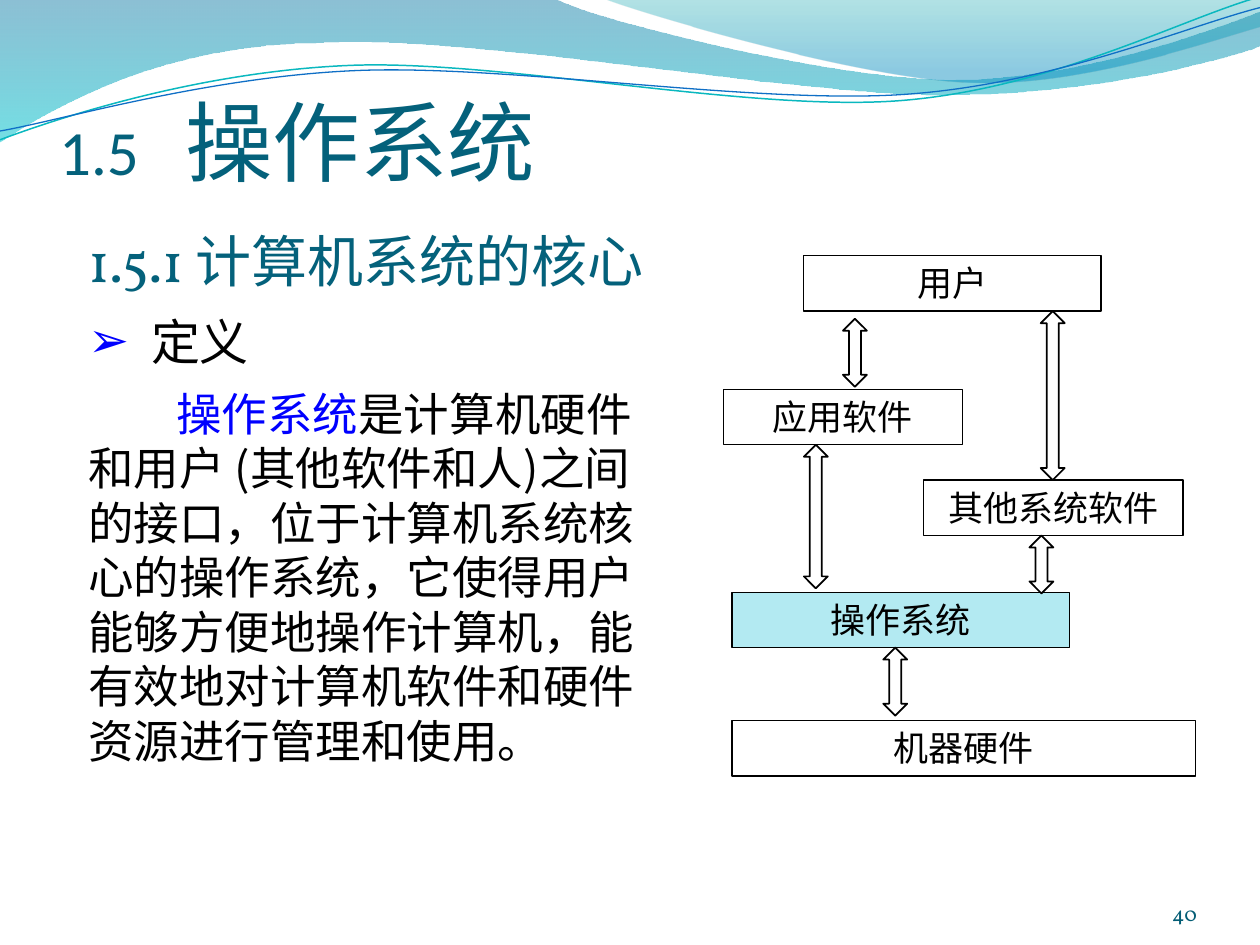
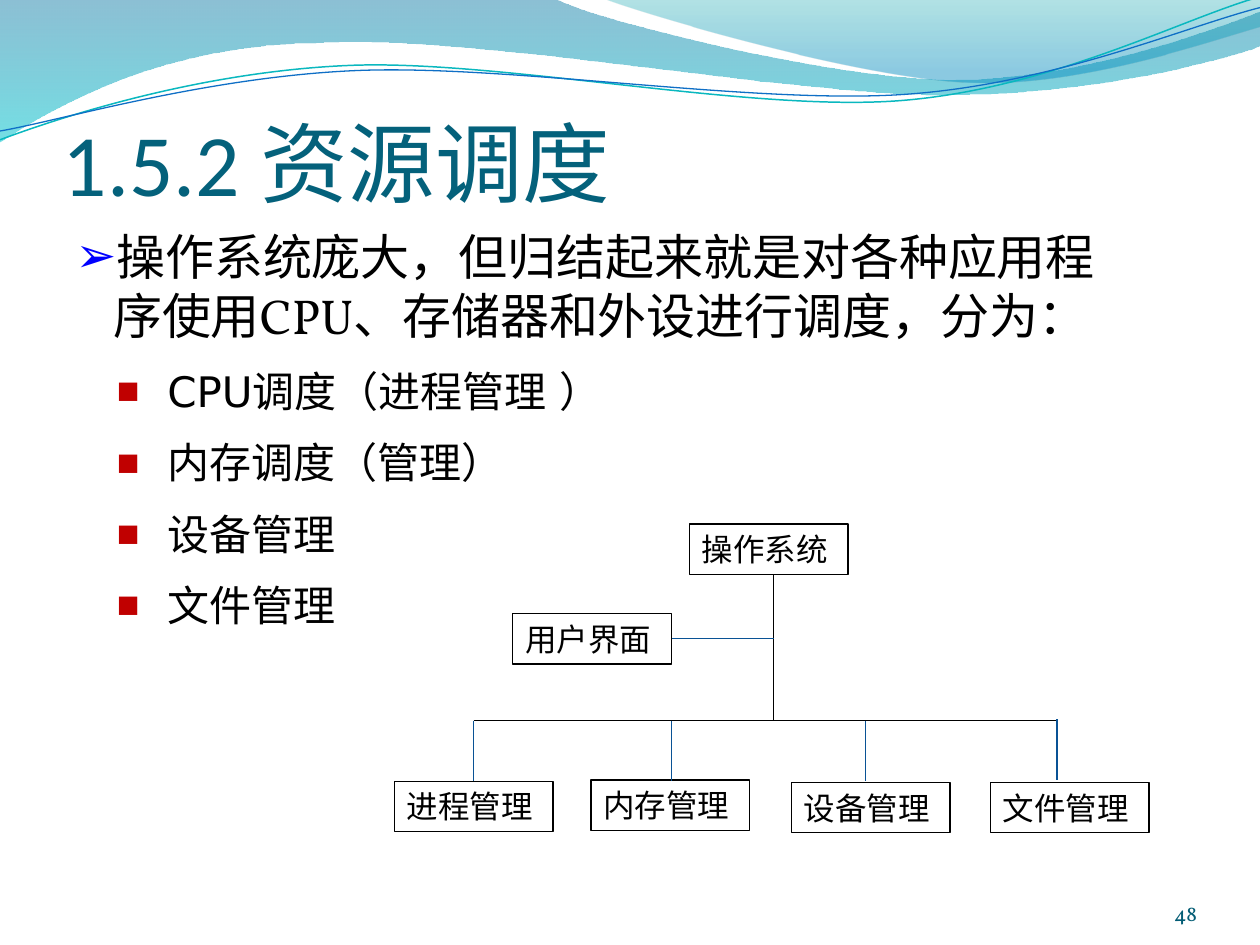
"""Build two slides about operating systems: their place in a computer and their parts."""
from math import cos, radians, sin
from lxml.etree import SubElement
from pptx import Presentation
from pptx.dml.color import RGBColor
from pptx.enum.shapes import MSO_CONNECTOR, MSO_SHAPE
from pptx.enum.text import MSO_ANCHOR, PP_ALIGN
from pptx.oxml.ns import qn
from pptx.util import Inches, Pt

WIDTH, HEIGHT = 10, 7.5
TEAL = RGBColor(0x04, 0x61, 0x7B)
NUMBER_TEAL = RGBColor(0x04, 0x5D, 0x75)
BLUE = RGBColor(0x00, 0x00, 0xFF)
RED = RGBColor(0xC0, 0x00, 0x00)
BLACK = RGBColor(0x00, 0x00, 0x00)
PALE_CYAN = RGBColor(0xB3, 0xEA, 0xF2)
NAVY = RGBColor(0x09, 0x52, 0x95)
WAVE_CYAN = RGBColor(0x0A, 0xB8, 0xBF)
WAVE_BLUE = RGBColor(0x0F, 0x6F, 0xC6)
BAND_BLUE = RGBColor(0x00, 0x74, 0xA1)
BAND_CYAN = RGBColor(0x00, 0xC6, 0xCF)
CORNER_TEAL = RGBColor(0x00, 0xA1, 0xA9)
CORNER_BLUE = RGBColor(0x00, 0x8B, 0xBF)
BODY_FONT, TITLE_FONT = "Vollkorn", "Calibri"
SANS_FONT, CHINESE_FONT = "DejaVu Sans", "Noto Sans CJK SC"

BANDS = [
    {"box": (-0.01, -0.01, 10.02, 1.14), "start": (0, -0.01),
     "steps": [(4.4, -0.01), (4.76, 0.17, 6.64, 0.63, 7.58, 0.63),
               (8.53, 0.63, 9.58, 0.26, 10, 0.09), (10.01, 0.36),
               (9.83, 0.44, 8.7, 0.76, 7.46, 0.75),
               (6.22, 0.75, 3.82, 0.28, 2.57, 0.34),
               (1.29, 0.35, 0.46, 0.83, -0.01, 1.13), (0, -0.01)],
     "stops": [(0, BAND_BLUE, 45), (100, BAND_CYAN, 55)]},
    {"box": (4.79, -0.01, 5.21, 0.7), "start": (4.79, -0.01),
     "steps": [(5.09, 0.11, 6.82, 0.62, 7.69, 0.65),
               (8.56, 0.69, 9.61, 0.32, 10, 0.21), (10, 0), (4.79, -0.01)],
     "stops": [(0, CORNER_TEAL, 30), (80, CORNER_BLUE, 45)]},
]
WAVE_TILT = -2.7
WAVES = [
    {"box": (-0.02, 0.22, 10.02, 0.71), "start": (0, 1.11), "line": (WAVE_CYAN, 0.85),
     "steps": [(0.48, 0.93, 1.58, 0.57, 2.77, 0.52),
               (3.95, 0.47, 5.93, 0.89, 7.13, 0.8),
               (8.33, 0.71, 9.38, 0.15, 9.98, -0.02)]},
    {"box": (-0.02, 0.3, 10.03, 0.58), "start": (0, 1.04), "line": (WAVE_BLUE, 0.75),
     "steps": [(0.47, 0.96, 1.64, 0.61, 2.83, 0.56),
               (4.03, 0.51, 5.97, 0.83, 7.17, 0.75),
               (8.36, 0.67, 9.41, 0.21, 10, 0.06)]},
]

ARROW_BULLET = {"char": "➢", "color": BLUE, "percent": 100}
SQUARE_BULLET = {"char": "■", "color": RED, "percent": 57}
TASK = {"margin": 0.73, "indent": -0.4, "before": 12, "bullet": SQUARE_BULLET}
TASKS = ["CPU调度（进程管理 ）", "内存调度（管理）", "设备管理", "文件管理"]

CORE = {
    "title": [("1.5\t", 36, TITLE_FONT, TEAL), ("操作系统", 50, TITLE_FONT, TEAL)],
    "title_box": (0.47, 0.6, 9, 0.93),
    "number": "40",
    "body_box": (0.5, 1.75, 4.81, 4.95),
    "body": [
        ({"margin": 0.1}, [("1.5.1 计算机系统的核心", 32, BODY_FONT, TEAL)]),
        ({"margin": 0.6, "indent": -0.5, "before": 10, "bullet": ARROW_BULLET},
         [("定义", 28, BODY_FONT, BLACK)]),
        ({"margin": 0.1, "indent": 0.7, "before": 8.8},
         [("操作系统", 26, CHINESE_FONT, BLUE),
          ("是计算机硬件和用户 (其他软件和人)之间的接口，位于计算机系统核心的操作系统，"
           "它使得用户能够方便地操作计算机，能有效地对计算机软件和硬件资源进行管理和使用。",
           26, CHINESE_FONT, BLACK)]),
    ],
}
LAYER_HEIGHT, ARROW_WIDTH = 0.44, 0.19
LAYERS = [("机器硬件", 5.81, 5.72, 3.68, None), ("其他系统软件", 7.33, 3.81, 2.06, None),
          ("应用软件", 5.74, 3.09, 1.9, None), ("操作系统", 5.81, 4.7, 2.68, PALE_CYAN),
          ("用户", 6.38, 2.03, 2.36, None)]
ARROWS = [(6.38, 3.53, 1.14), (6.69, 2.53, 0.54), (8.17, 4.25, 0.46),
          (7.01, 5.14, 0.54), (8.26, 2.47, 1.34)]

SCHEDULING = {
    "title": [("1.5.2 资源调度", 50, TITLE_FONT, TEAL)],
    "title_box": (0.5, 0.77, 9, 0.93),
    "number": "48",
    "body_box": (0.5, 1.75, 8.33, 3.57),
    "body": [
        ({"margin": 0.3, "indent": -0.3, "bullet": ARROW_BULLET},
         [("操作系统庞大，但归结起来就是对各种应用程序使用CPU、存储器和外设进行调度，分为：",
           28, BODY_FONT, BLACK)]),
        *[(TASK, [(task, 24, SANS_FONT, BLACK)]) for task in TASKS],
    ],
}
NODE_WIDTH, NODE_HEIGHT = 1.26, 0.4
ROOT = ("操作系统", 5.47, 4.16)
INTERFACE = ("用户界面", 4.07, 4.87)
MANAGERS = [("进程管理", 3.13, 6.2), ("设备管理", 6.28, 6.21),
            ("内存管理", 4.69, 6.19), ("文件管理", 7.86, 6.21)]
TRUNK_X, RAIL_Y = 6.14, 5.72
DROPS = [(3.76, 5.72), (5.33, 5.72), (6.87, 5.72), (8.39, 5.71)]
DROP_LENGTH = 0.48


def set_values(target, values):
    for name, value in values.items():
        setattr(target, name, value)


def add_bullet(paragraph, bullet):
    properties = paragraph._p.get_or_add_pPr()
    color = SubElement(properties, qn("a:buClr"))
    SubElement(color, qn("a:srgbClr"), val=str(bullet["color"]))
    SubElement(properties, qn("a:buSzPct"), val=str(bullet["percent"] * 1000))
    SubElement(properties, qn("a:buFont"), typeface=SANS_FONT)
    SubElement(properties, qn("a:buChar"), char=bullet["char"])


def write_paragraph(paragraph, runs, layout):
    properties = paragraph._p.get_or_add_pPr()
    properties.set("marL", str(Inches(layout.get("margin", 0))))
    properties.set("indent", str(Inches(layout.get("indent", 0))))
    if "bullet" in layout:
        add_bullet(paragraph, layout["bullet"])
    if "tab" in layout:
        tabs = SubElement(properties, qn("a:tabLst"))
        SubElement(tabs, qn("a:tab"), pos=str(Inches(layout["tab"])), algn="l")
    set_values(paragraph, {"alignment": layout.get("align", PP_ALIGN.LEFT),
                           "space_before": Pt(layout.get("before", 0))})
    for text, size, font, color in runs:
        run = paragraph.add_run()
        run.text = text
        set_values(run.font, {"size": Pt(size), "name": font})
        run.font.color.rgb = color
        SubElement(run._r.get_or_add_rPr(), qn("a:ea"), typeface=font)


def write_text(shape, paragraphs, **frame_values):
    frame = shape.text_frame
    set_values(frame, {"word_wrap": True, "vertical_anchor": MSO_ANCHOR.TOP, **frame_values})
    for index, (layout, runs) in enumerate(paragraphs):
        paragraph = frame.add_paragraph() if index else frame.paragraphs[0]
        write_paragraph(paragraph, runs, layout)


def add_text(slide, box, paragraphs, **frame_values):
    shape = slide.shapes.add_textbox(*map(Inches, box))
    write_text(shape, paragraphs, **frame_values)


def set_line(shape, color, width):
    shape.line.color.rgb = color
    shape.line.width = Pt(width)


def add_outlined(slide, kind, box, width=0.75, fill=None):
    shape = slide.shapes.add_shape(kind, *map(Inches, box))
    shape.shadow.inherit = False
    if fill is None:
        shape.fill.background()
    else:
        shape.fill.solid()
        shape.fill.fore_color.rgb = fill
    set_line(shape, BLACK, width)
    return shape


def add_label(slide, text, box, size, align, fill=None):
    shape = add_outlined(slide, MSO_SHAPE.RECTANGLE, box, fill=fill)
    write_text(shape, [({"align": align}, [(text, size, BODY_FONT, BLACK)])])


def add_line(slide, start, end, color):
    ends = map(Inches, (*start, *end))
    connector = slide.shapes.add_connector(MSO_CONNECTOR.STRAIGHT, *ends)
    set_line(connector, color, 0.75)
    SubElement(connector._element.spPr, qn("a:effectLst"))


def place_in_box(point, box, tilt):
    left, top, width, height = box
    across, down = point[0] - left - width / 2, point[1] - top - height / 2
    turn = radians(-tilt)
    return (Inches(across * cos(turn) - down * sin(turn) + width / 2),
            Inches(across * sin(turn) + down * cos(turn) + height / 2))


def add_curve(slide, curve, tilt=0):
    box = curve["box"]
    left, top, width, height = map(Inches, box)
    builder = slide.shapes.build_freeform(left, top)
    builder.add_line_segments([(left + width, top + height)], close=False)
    shape = builder.convert_to_shape()
    shape.shadow.inherit = False
    shape.fill.background()
    shape.rotation = tilt
    outline = next(shape._element.iter(qn("a:path")))
    for child in list(outline):
        outline.remove(child)
    for index, step in enumerate([curve["start"], *curve["steps"]]):
        kind = "a:cubicBezTo" if len(step) == 6 else "a:lnTo" if index else "a:moveTo"
        segment = SubElement(outline, qn(kind))
        for point in zip(step[::2], step[1::2]):
            x, y = place_in_box(point, box, tilt)
            SubElement(segment, qn("a:pt"), x=str(x), y=str(y))
    return shape


def fill_gradient(shape, stops):
    shape.fill.gradient()
    gradient = shape._element.spPr.find(qn("a:gradFill"))
    for child in list(gradient):
        gradient.remove(child)
    stop_list = SubElement(gradient, qn("a:gsLst"))
    for position, color, opacity in stops:
        stop = SubElement(stop_list, qn("a:gs"), pos=str(position * 1000))
        shade = SubElement(stop, qn("a:srgbClr"), val=str(color))
        SubElement(shade, qn("a:alpha"), val=str(opacity * 1000))
    SubElement(gradient, qn("a:lin"), ang=str(90 * 60000), scaled="0")


def add_base(presentation, content):
    slide = presentation.slides.add_slide(presentation.slide_layouts[6])
    for band in BANDS:
        shape = add_curve(slide, band)
        SubElement(next(shape._element.iter(qn("a:path"))), qn("a:close"))
        shape.line.fill.background()
        fill_gradient(shape, band["stops"])
    for wave in WAVES:
        set_line(add_curve(slide, wave, WAVE_TILT), *wave["line"])
    flat = {"margin_left": 0, "margin_right": 0, "vertical_anchor": MSO_ANCHOR.BOTTOM}
    add_text(slide, content["title_box"], [({"tab": 0.96}, content["title"])],
             margin_bottom=0, **flat)
    add_text(slide, content["body_box"], content["body"])
    number = [(content["number"], 12, BODY_FONT, NUMBER_TEAL)]
    add_text(slide, (8.67, 6.95, 0.83, 0.4), [({"align": PP_ALIGN.RIGHT}, number)],
             margin_top=0, margin_bottom=0, **flat)
    return slide


def add_core_slide(presentation):
    slide = add_base(presentation, CORE)
    for text, left, top, width, fill in LAYERS:
        add_label(slide, text, (left, top, width, LAYER_HEIGHT), 20, PP_ALIGN.CENTER, fill)
    for left, top, height in ARROWS:
        add_outlined(slide, MSO_SHAPE.UP_DOWN_ARROW, (left, top, ARROW_WIDTH, height), 1)


def add_scheduling_slide(presentation):
    slide = add_base(presentation, SCHEDULING)
    for text, left, top in [*MANAGERS, INTERFACE, ROOT]:
        add_label(slide, text, (left, top, NODE_WIDTH, NODE_HEIGHT), 18, PP_ALIGN.LEFT)
    add_line(slide, (TRUNK_X, ROOT[2] + NODE_HEIGHT), (TRUNK_X, RAIL_Y), BLACK)
    add_line(slide, (DROPS[0][0], RAIL_Y), (DROPS[-1][0], RAIL_Y), BLACK)
    for x, y in DROPS:
        add_line(slide, (x, y), (x, y + DROP_LENGTH), NAVY)
    branch_y = INTERFACE[2] + NODE_HEIGHT / 2
    add_line(slide, (INTERFACE[1] + NODE_WIDTH, branch_y), (TRUNK_X, branch_y), NAVY)


def main():
    presentation = Presentation()
    set_values(presentation, {"slide_width": Inches(WIDTH), "slide_height": Inches(HEIGHT)})
    add_core_slide(presentation)
    add_scheduling_slide(presentation)
    presentation.save("out.pptx")


if __name__ == "__main__":
    main()
